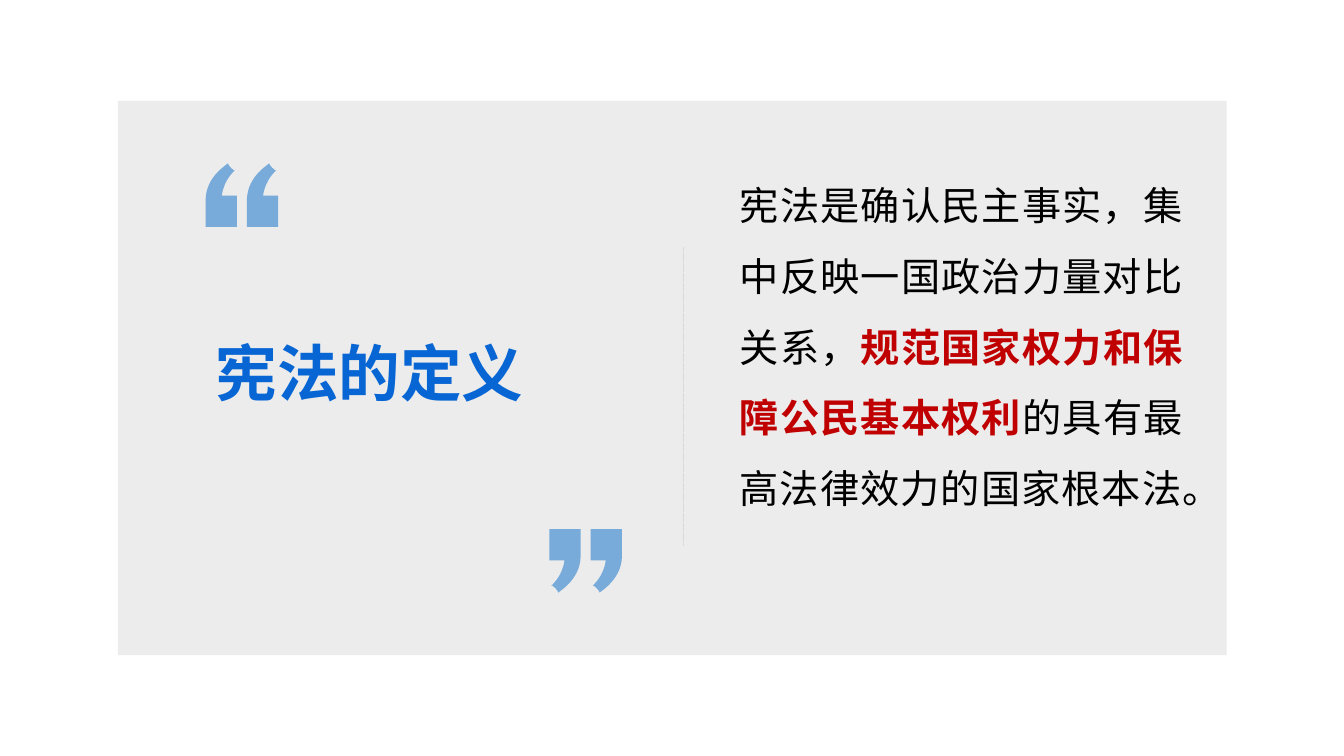
from pptx import Presentation
from pptx.util import Inches, Pt
from pptx.dml.color import RGBColor
from pptx.enum.shapes import MSO_SHAPE as SHAPE, MSO_CONNECTOR as LINK
from pptx.enum.text import PP_ALIGN as ALIGN, MSO_ANCHOR as ANCHOR
from pptx.enum.dml import MSO_LINE as DASH
from pptx.oxml.ns import qn
from lxml.etree import SubElement

GRAY = RGBColor(0x80, 0x80, 0x80)
PALE = RGBColor(0xD9, 0xD9, 0xD9)
SKY = RGBColor(0x5B, 0x9B, 0xD5)
BLUE = RGBColor(0x07, 0x66, 0xD4)
RED = RGBColor(0xC0, 0, 0)
BLACK = RGBColor(0, 0, 0)
SANS = "Noto Sans CJK SC"

TITLE = [("宪法的定义", BLUE, True)]
BODY = [
    ("宪法是确认民主事实，集中反映一国政治力量对比关系，", BLACK, False),
    ("规范国家权力和保障公民基本权利", RED, True),
    ("的具有最高法律效力的国家根本法。", BLACK, False),
]
QUOTES = [(2.04, 1.62, 180), (5.45, 5.25, 0)]
GAP = 0.41
START = (0.09, 0.63)
MARK = [
    [(0.08, 0.61)],
    [(0.07, 0.59), (0.05, 0.58), (0.03, 0.56)],
    [(0.02, 0.56)],
    [(0.02, 0.56), (0.13, 0.47), (0.15, 0.31)],
    [(0, 0.31)],
    [(0, 0)],
    [(0.31, 0)],
    [(0.31, 0.28)],
    [(0.3, 0.51), (0.09, 0.62), START],
]


def scale(dot):
    return tuple(map(Inches, dot))


def draw(shapes, left, top):
    pen = shapes.build_freeform(*scale(START))
    pen.add_line_segments([scale(part[-1]) for part in MARK], close=True)
    mark = pen.convert_to_shape(Inches(left), Inches(top))
    lines = list(mark._element.iter(qn("a:lnTo")))
    for line, part in zip(lines, MARK):
        if len(part) == 1:
            continue
        curve = line.makeelement(qn("a:cubicBezTo"))
        for x, y in map(scale, part):
            SubElement(curve, qn("a:pt"), x=str(x), y=str(y))
        line.getparent().replace(line, curve)
    return mark


def paint(shape, color, alpha):
    shape.shadow.inherit = False
    shape.line.fill.background()
    shape.fill.solid()
    shape.fill.fore_color.rgb = color
    tone = shape.fill._xPr.find(qn("a:solidFill"))[0]
    SubElement(tone, qn("a:alpha"), val=str(alpha * 1000))


def write(slide, box, runs, size, face, space, align):
    frame = slide.shapes.add_textbox(*map(Inches, box)).text_frame
    frame.word_wrap = True
    frame.vertical_anchor = ANCHOR.MIDDLE
    para = frame.paragraphs[0]
    para.line_spacing = space
    para.alignment = align
    for text, color, bold in runs:
        run = para.add_run()
        run.text = text
        font = run.font
        font.size, font.bold, font.name = Pt(size), bold, face
        font.color.rgb = color
        SubElement(font._element, qn("a:ea"), typeface=SANS)
    return frame


def main():
    deck = Presentation()
    deck.slide_width, deck.slide_height = Inches(40 / 3), Inches(7.5)
    slide = deck.slides.add_slide(deck.slide_layouts[6])
    shapes = slide.shapes

    panel = shapes.add_shape(SHAPE.RECTANGLE, *map(Inches, (1.17, 1, 11, 5.5)))
    paint(panel, GRAY, 15)

    rule = shapes.add_connector(LINK.STRAIGHT, *map(Inches, (6.78, 2.45, 6.78, 5.41)))
    rule.line.color.rgb = PALE
    rule.line.width = Pt(0.1)
    rule.line.dash_style = DASH.DASH
    SubElement(rule._element.spPr, qn("a:effectLst"))

    for left, top, turn in QUOTES:
        for col in range(2):
            mark = draw(shapes, left + col * GAP, top)
            mark.rotation = turn
            paint(mark, SKY, 80)

    body = write(slide, (7.24, 1.62, 4.59, 4.25), BODY, 28, SANS, 1.5, ALIGN.JUSTIFY)
    body.margin_bottom = Inches(0.9)
    write(slide, (2.04, 2.45, 4.13, 2.58), TITLE, 44, "Arial", 0.9, ALIGN.LEFT)
    deck.save("out.pptx")


if __name__ == "__main__":
    main()
